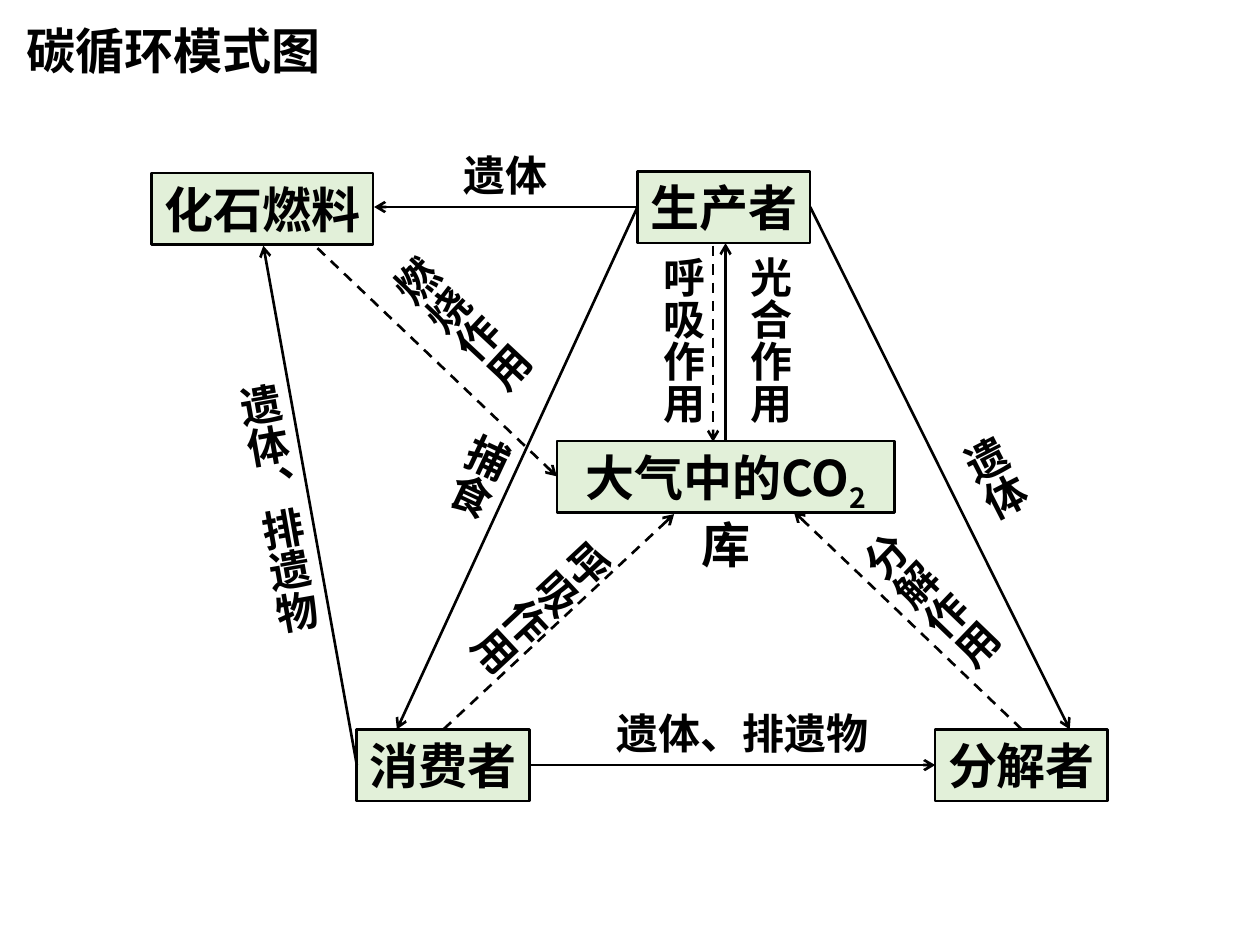
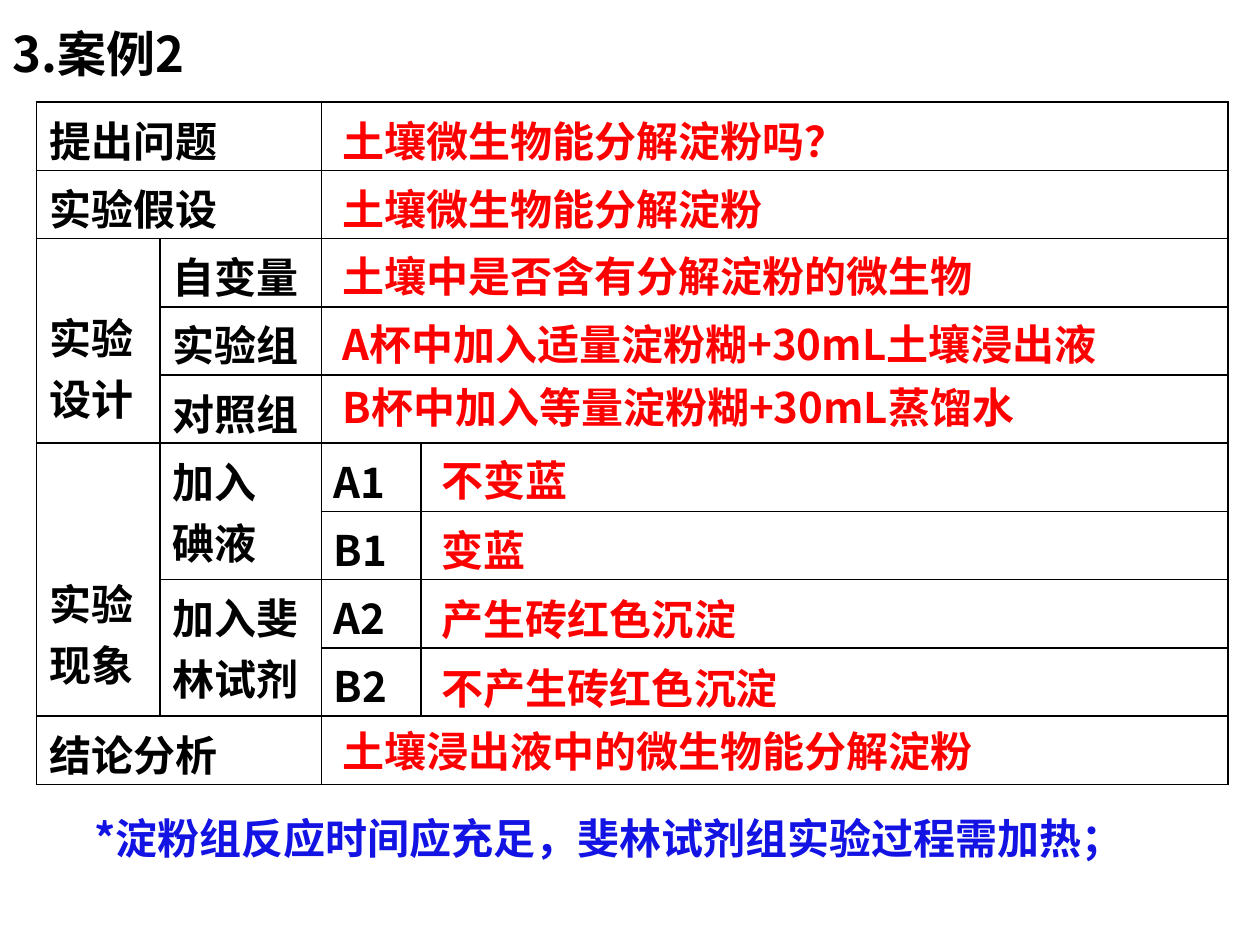
from lxml import etree
from pptx import Presentation
from pptx.dml.color import RGBColor
from pptx.enum import dml, shapes, text
from pptx.oxml import ns
from pptx.util import Pt

BLACK = RGBColor(0x00, 0x00, 0x00)
RED = RGBColor(0xFF, 0x00, 0x00)
BLUE = RGBColor(0x13, 0x13, 0xE4)
PALE_GREEN = RGBColor(0xE2, 0xF0, 0xD9)
FONT = "Noto Sans CJK SC"
TITLE_SIZE = 28
BODY_SIZE = 24


def add_run(paragraph, words, size=BODY_SIZE, color=BLACK):
    run = paragraph.add_run()
    run.text = words
    run.font.size = Pt(size)
    run.font.bold = True
    run.font.color.rgb = color
    run.font.name = FONT
    properties = run._r.get_or_add_rPr()
    etree.SubElement(properties, ns.qn("a:ea")).set("typeface", FONT)
    return properties


def add_label(slide, words, left, top, width, height, size=BODY_SIZE, color=BLACK, wrap=True):
    shape = slide.shapes.add_textbox(Pt(left), Pt(top), Pt(width), Pt(height))
    shape.text_frame.word_wrap = wrap
    add_run(shape.text_frame.paragraphs[0], words, size, color)
    return shape


presentation = Presentation()
presentation.slide_width = Pt(720)
presentation.slide_height = Pt(540)
blank = presentation.slide_layouts[6]

cycle_slide = presentation.slides.add_slide(blank)
add_label(cycle_slide, "碳循环模式图", 8, 8, 478, 41, TITLE_SIZE)

pools = [
    ("生产者", 364.3, 98, 98.6),
    ("大气中的CO", 318.2, 252, 193),
    ("消费者", 203.9, 416.8, 98.6),
    ("分解者", 534.4, 416.8, 98.6),
    ("化石燃料", 86.5, 98.8, 126.6),
]
for name, left, top, width in pools:
    shape = cycle_slide.shapes.add_shape(
        shapes.MSO_SHAPE.RECTANGLE, Pt(left), Pt(top), Pt(width), Pt(41))
    shape.shadow.inherit = False
    shape.fill.solid()
    shape.fill.fore_color.rgb = PALE_GREEN
    shape.line.color.rgb = BLACK
    shape.line.width = Pt(1.5)
    is_air = name.endswith("CO")
    frame = shape.text_frame
    frame.word_wrap = is_air
    frame.vertical_anchor = text.MSO_ANCHOR.TOP
    paragraph = frame.paragraphs[0]
    paragraph.alignment = text.PP_ALIGN.CENTER
    add_run(paragraph, name, TITLE_SIZE)
    if is_air:
        add_run(paragraph, "2", TITLE_SIZE).set("baseline", "-25000")
        add_run(paragraph, "库", TITLE_SIZE)

arrows = [
    (407.5, 140.4, 407.5, 252.5, True),
    (414.6, 252, 414.6, 139, False),
    (364.3, 118.3, 226.8, 416.8, False),
    (463, 118.3, 611.3, 416.8, False),
    (303, 437.2, 534.4, 437.2, False),
    (253.4, 416.8, 385.2, 293.8, True),
    (583.9, 416.8, 453.6, 292.3, True),
    (364.3, 118.3, 213.8, 118.3, False),
    (203.9, 437.2, 150.5, 140.4, False),
    (181.4, 141.8, 318.2, 272.2, True),
]
for start_x, start_y, end_x, end_y, dashed in arrows:
    connector = cycle_slide.shapes.add_connector(
        shapes.MSO_CONNECTOR.STRAIGHT, Pt(start_x), Pt(start_y), Pt(end_x), Pt(end_y))
    connector.line.color.rgb = BLACK
    connector.line.width = Pt(1.5)
    if dashed:
        connector.line.dash_style = dml.MSO_LINE.DASH
    line = connector.line._get_or_add_ln()
    etree.SubElement(line, ns.qn("a:tailEnd")).set("type", "arrow")
    etree.SubElement(connector._element.spPr, ns.qn("a:effectLst"))

vertical_labels = [
    ("呼吸作用", 365, 139.7, 0),
    ("光合作用", 414.7, 139.7, 0),
    ("捕食", 249.8, 239.8, 25),
    ("遗体", 542.2, 244.8, 333),
    ("分解作用", 505.4, 292.3, 314),
    ("呼吸作用", 287.3, 290.2, 47),
    ("遗体、排遗物", 133.2, 212.4, 350),
    ("燃烧作用", 237.6, 134.6, 313),
]
for words, left, top, angle in vertical_labels:
    label = add_label(cycle_slide, words, left, top, 43.2,
                      BODY_SIZE * len(words) + 7.6, wrap=False)
    label.rotation = angle
    label.text_frame._txBody.bodyPr.set("vert", "eaVert")
    label.text_frame.paragraphs[0].alignment = text.PP_ALIGN.CENTER

for words, left, top in [("遗体、排遗物", 344.9, 401), ("遗体", 257.8, 82)]:
    label = add_label(cycle_slide, words, left, top,
                      BODY_SIZE * len(words) + 14.6, 36, wrap=False)
    label.text_frame.paragraphs[0].alignment = text.PP_ALIGN.CENTER

case_slide = presentation.slides.add_slide(blank)
case_title = add_label(case_slide, "3.案例2", 0, 0, 720, 51, TITLE_SIZE)
case_title.text_frame.paragraphs[0].line_spacing = 1.3

column_widths = [70.6, 92.2, 56.8, 461.2]
row_count, row_height = 10, 39
table = case_slide.shapes.add_table(
    row_count, len(column_widths), Pt(20.9), Pt(58.4),
    Pt(sum(column_widths)), Pt(row_count * row_height)).table
table.first_row = False
table.horz_banding = False
for column, width in zip(table.columns, column_widths):
    column.width = Pt(width)
for row in table.rows:
    row.height = Pt(row_height)

for cell in table.iter_cells():
    cell.fill.background()
    cell.margin_bottom = 0
    properties = cell._tc.get_or_add_tcPr()
    for index, side in enumerate(["lnL", "lnR", "lnT", "lnB"]):
        border = etree.Element(ns.qn(f"a:{side}"), w=str(Pt(1)))
        fill = etree.SubElement(border, ns.qn("a:solidFill"))
        etree.SubElement(fill, ns.qn("a:srgbClr")).set("val", str(BLACK))
        properties.insert(index, border)

merges = [(row, 0, row, 1) for row in (0, 1, 9)]
merges += [(row, 2, row, 3) for row in (0, 1, 2, 3, 4, 9)]
merges += [(2, 0, 4, 0), (5, 0, 8, 0), (5, 1, 6, 1), (7, 1, 8, 1)]
for top, left, bottom, right in merges:
    table.cell(top, left).merge(table.cell(bottom, right))

headings = [
    (0, 0, ["提出问题"]), (1, 0, ["实验假设"]),
    (2, 0, ["实验设计"]), (2, 1, ["自变量"]),
    (3, 1, ["实验组"]), (4, 1, ["对照组"]),
    (5, 0, ["实验现象"]), (5, 1, ["加入", "碘液"]), (5, 2, ["A1"]),
    (6, 2, ["B1"]), (7, 1, ["加入斐林试剂"]), (7, 2, ["A2"]),
    (8, 2, ["B2"]), (9, 0, ["结论分析"]),
]
for row, column, lines in headings:
    frame = table.cell(row, column).text_frame
    for index, words in enumerate(lines):
        paragraph = frame.add_paragraph() if index else frame.paragraphs[0]
        add_run(paragraph, words)
table.cell(2, 0).margin_top = Pt(38.5)
table.cell(5, 0).margin_top = Pt(73.4)

answers = [
    ("土壤微生物能分解淀粉吗？", 188.6, 62.6),
    ("土壤微生物能分解淀粉", 188.6, 101.5),
    ("土壤中是否含有分解淀粉的微生物", 188.6, 139.7),
    ("A杯中加入适量淀粉糊+30mL土壤浸出液", 188.6, 178.6),
    ("B杯中加入等量淀粉糊+30mL蒸馏水", 188.6, 214.6),
    ("不变蓝", 245.5, 256.3),
    ("变蓝", 245.5, 295.9),
    ("产生砖红色沉淀", 245.5, 335.5),
    ("不产生砖红色沉淀", 245.5, 375.1),
    ("土壤浸出液中的微生物能分解淀粉", 188.6, 411.1),
]
for words, left, top in answers:
    add_label(case_slide, words, left, top, 689 - left, 36, color=RED)

add_label(case_slide, "*淀粉组反应时间应充足，斐林试剂组实验过程需加热；",
          46.8, 460.8, 629.3, 36, color=BLUE)

presentation.save("out.pptx")
